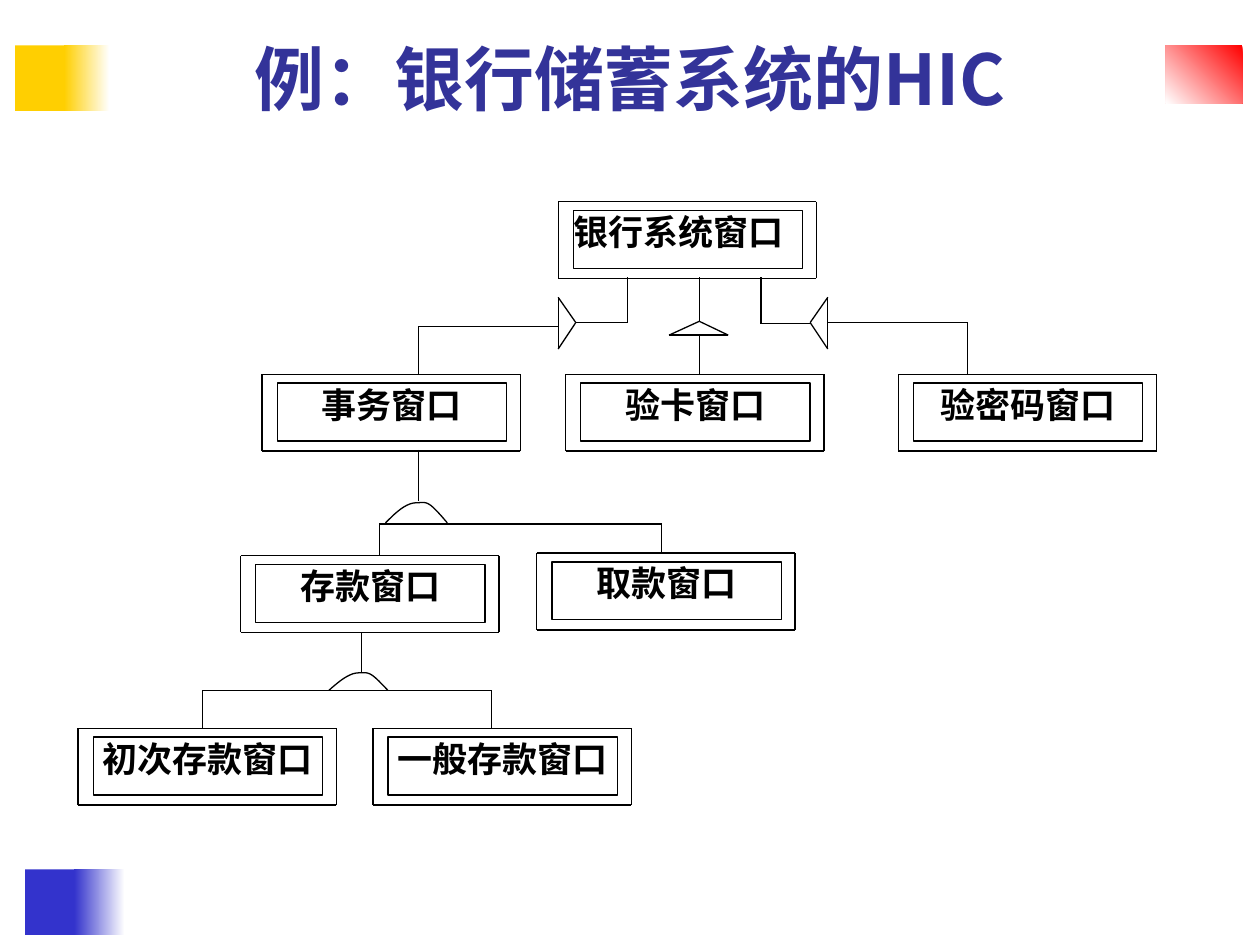
from itertools import pairwise
from lxml import etree
from pptx import Presentation
from pptx.dml.color import RGBColor
from pptx.enum.shapes import MSO_CONNECTOR, MSO_SHAPE
from pptx.enum.text import MSO_ANCHOR, PP_ALIGN
from pptx.oxml.ns import qn
from pptx.util import Inches, Pt

BLACK = RGBColor(0x00, 0x00, 0x00)
WHITE = RGBColor(0xFF, 0xFF, 0xFF)
YELLOW = RGBColor(0xFF, 0xCF, 0x01)
BLUE = RGBColor(0x33, 0x33, 0xCC)
RED = RGBColor(0xFF, 0x00, 0x00)
NAVY = RGBColor(0x33, 0x33, 0x99)
CJK_FONT = "Noto Sans CJK SC"
LATIN_FONT = "Times New Roman"

TITLE = "例：银行储蓄系统的HIC"
SOLIDS = [(0.12, 0.36, 0.48, 0.52, YELLOW), (0.2, 6.9, 0.46, 0.52, BLUE)]
GRADIENTS = [
    (0.51, 0.36, 0.36, 0.52, WHITE, YELLOW, 180),
    (0.59, 6.9, 0.4, 0.52, WHITE, BLUE, 180),
    (9.25, 0.36, 0.61, 0.46, RED, WHITE, 225),
]

FRAME_W, FRAME_H = 2.05, 0.61
INNER_W, INNER_H = 1.82, 0.46
PAD_X, PAD_Y = 0.12, 0.07
WINDOWS = [
    ("银行系统窗口", 4.43, 1.6, PP_ALIGN.JUSTIFY),
    ("事务窗口", 2.08, 2.97, PP_ALIGN.CENTER),
    ("验卡窗口", 4.49, 2.97, PP_ALIGN.CENTER),
    ("验密码窗口", 7.13, 2.97, PP_ALIGN.CENTER),
    ("存款窗口", 1.91, 4.41, PP_ALIGN.CENTER),
    ("取款窗口", 4.26, 4.39, PP_ALIGN.CENTER),
    ("初次存款窗口", 0.62, 5.78, PP_ALIGN.CENTER),
    ("一般存款窗口", 2.96, 5.78, PP_ALIGN.CENTER),
]

LINKS = [
    [(4.98, 2.2), (4.98, 2.56), (4.57, 2.56)],
    [(4.43, 2.59), (3.32, 2.59), (3.32, 2.97)],
    [(5.55, 2.2), (5.55, 2.55)],
    [(5.55, 2.66), (5.55, 2.97)],
    [(6.04, 2.2), (6.04, 2.57), (6.43, 2.57)],
    [(6.57, 2.56), (7.68, 2.56), (7.68, 2.97)],
    [(3.32, 3.57), (3.32, 3.98)],
    [(3.01, 4.41), (3.01, 4.16), (5.25, 4.16), (5.25, 4.39)],
    [(2.87, 5.02), (2.87, 5.34)],
    [(1.61, 5.78), (1.61, 5.48), (3.9, 5.48), (3.9, 5.78)],
]
TRIANGLES = [
    [(4.57, 2.56), (4.43, 2.36), (4.43, 2.77)],
    [(5.55, 2.55), (5.31, 2.66), (5.78, 2.66)],
    [(6.43, 2.56), (6.57, 2.36), (6.57, 2.77)],
]
ARCS = [
    [(3.06, 4.15), (3.14, 4.07), (3.22, 3.99), (3.31, 3.99),
     (3.39, 3.99), (3.39, 3.96), (3.55, 4.15)],
    [(2.61, 5.48), (2.69, 5.41), (2.77, 5.34), (2.85, 5.34),
     (2.93, 5.34), (2.93, 5.32), (3.08, 5.48)],
]
ARC_STEPS = 10


def add_rect(s, x, y, w, h):
    sp = s.shapes.add_shape(MSO_SHAPE.RECTANGLE, Inches(x), Inches(y), Inches(w), Inches(h))
    sp.shadow.inherit = False
    sp.line.fill.background()
    return sp


def set_line(sp):
    sp.line.color.rgb = BLACK
    sp.line.width = Pt(0.75)


def add_lines(shapes, points):
    for (x1, y1), (x2, y2) in pairwise(points):
        c = shapes.add_connector(MSO_CONNECTOR.STRAIGHT, Inches(x1), Inches(y1), Inches(x2), Inches(y2))
        set_line(c)
        etree.SubElement(c._element.spPr, qn("a:effectLst"))


def set_text(tf, text, size, color, font, align):
    p = tf.paragraphs[0]
    p.text = text
    p.alignment = align
    p.font.size = Pt(size)
    p.font.bold = True
    p.font.color.rgb = color
    p.font.name = font
    ea = etree.SubElement(p._p.pPr.find(qn("a:defRPr")), qn("a:ea"))
    ea.set("typeface", CJK_FONT)


def add_window(s, text, x, y, align):
    sp = add_rect(s, x + PAD_X, y + PAD_Y, INNER_W, INNER_H)
    sp.fill.solid()
    sp.fill.fore_color.rgb = WHITE
    set_line(sp)
    tf = sp.text_frame
    tf.word_wrap = True
    tf.vertical_anchor = MSO_ANCHOR.TOP
    tf.margin_left = tf.margin_right = tf.margin_top = tf.margin_bottom = 0
    set_text(tf, text, 20, BLACK, LATIN_FONT, align)
    right, bottom = x + FRAME_W, y + FRAME_H
    add_lines(s.shapes, [(x, y), (right, y), (right, bottom), (x, bottom), (x, y)])


def bezier(p0, p1, p2, p3, t):
    u = 1 - t
    return tuple(u**3 * a + 3 * u * u * t * b + 3 * u * t * t * c + t**3 * d
                 for a, b, c, d in zip(p0, p1, p2, p3))


def add_arc(s, controls):
    curve = [bezier(*controls[i:i + 4], k / ARC_STEPS)
             for i in (0, 3) for k in range(1, ARC_STEPS + 1)]
    start, *points = [(Inches(x), Inches(y)) for x, y in [controls[0], *curve]]
    fb = s.shapes.build_freeform(*start)
    fb.add_line_segments(points, close=False)
    sp = fb.convert_to_shape()
    sp.shadow.inherit = False
    sp.fill.background()
    set_line(sp)


def main():
    prs = Presentation()
    prs.slide_width, prs.slide_height = Inches(10), Inches(7.5)
    s = prs.slides.add_slide(prs.slide_layouts[6])

    for *box, color in SOLIDS:
        sp = add_rect(s, *box)
        sp.fill.solid()
        sp.fill.fore_color.rgb = color
    for *box, start, end, angle in GRADIENTS:
        sp = add_rect(s, *box)
        sp.fill.gradient()
        sp.fill.gradient_angle = angle
        for stop, color in zip(sp.fill.gradient_stops, (start, end)):
            stop.color.rgb = color

    tf = s.shapes.add_textbox(0, Inches(0.21), Inches(10), Inches(0.79)).text_frame
    tf.word_wrap = True
    tf.vertical_anchor = MSO_ANCHOR.BOTTOM
    set_text(tf, TITLE, 40, NAVY, CJK_FONT, PP_ALIGN.CENTER)

    for window in WINDOWS:
        add_window(s, *window)
    for link in LINKS:
        add_lines(s.shapes, link)
    for triangle in TRIANGLES:
        add_lines(s.shapes.add_group_shape().shapes, triangle + triangle[:1])
    for arc in ARCS:
        add_arc(s, arc)

    prs.save("out.pptx")


if __name__ == "__main__":
    main()
